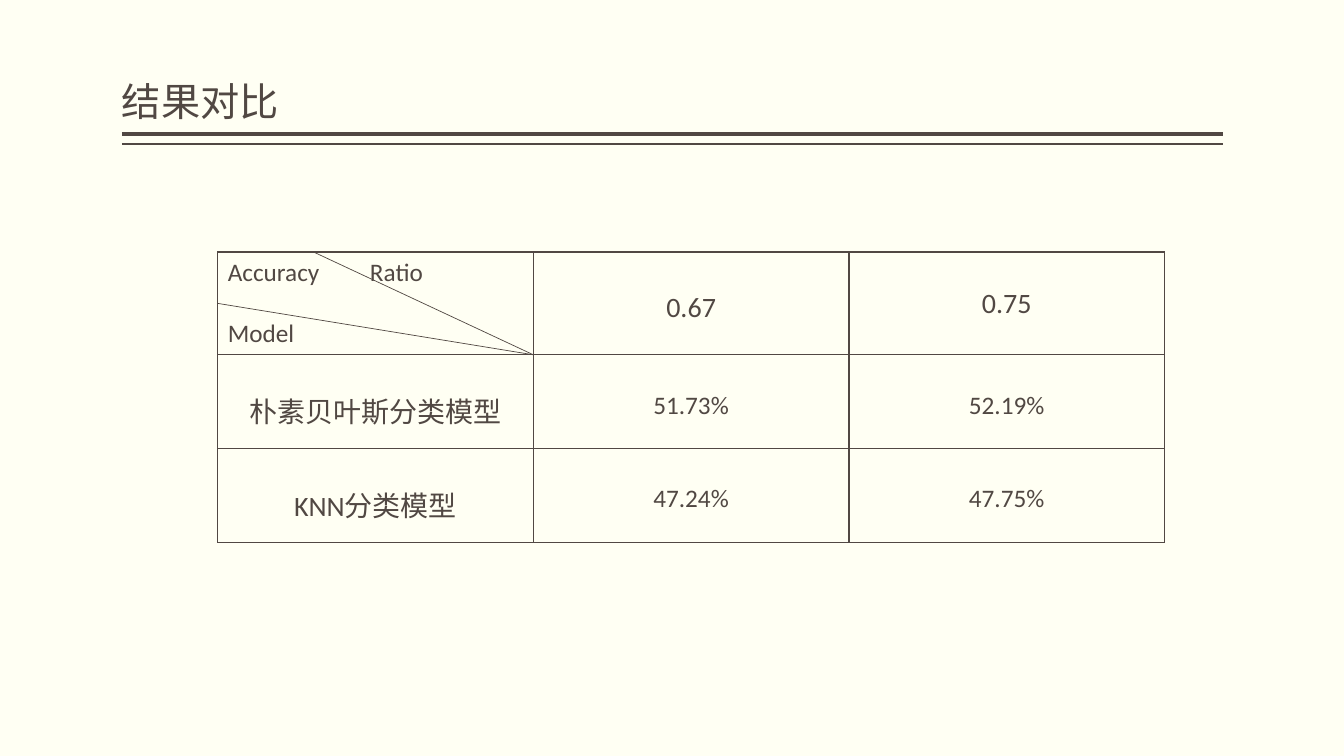
from pptx import Presentation
from pptx import util as u
from pptx.dml.color import RGBColor
from pptx.enum import shapes, text
from pptx.oxml.ns import qn
from lxml import etree

TITLE = "结果对比"
CORNER = ["Accuracy\tRatio", "Model"]
# Each cell: text, size in points, top margin in inches
ROWS = [
    [None, ("0.67", 20, 0.39), ("0.75", 20, 0.35)],
    [("朴素贝叶斯分类模型", 20, 0.35), ("51.73%", 18, 0.35), ("52.19%", 18, 0.35)],
    [("KNN分类模型", 20, 0.35), ("47.24%", 18, 0.35), ("47.75%", 18, 0.35)],
]
COLORS = {"ink": "514843", "paper": "FFFFF3"}
LATIN, CJK = "Calibri", "Noto Sans CJK SC"

# Grid in inches
LEFT, RIGHT = 1.21, 12.13
RULES = [(1.33, 3), (1.43, 1)]
TABLE_X, TABLE_Y, COL_W = 2.16, 2.5, 3.13
ROW_H = [1.02, 0.93, 0.93]

ink = RGBColor.from_string(COLORS["ink"])
prs = Presentation()
prs.slide_width, prs.slide_height = u.Inches(13.33), u.Inches(7.5)
s = prs.slides.add_slide(prs.slide_layouts[6])
s.background.fill.solid()
s.background.fill.fore_color.rgb = RGBColor.from_string(COLORS["paper"])


def add_line(x1, y1, x2, y2, width):
    c = s.shapes.add_connector(shapes.MSO_CONNECTOR.STRAIGHT,
                               *(u.Inches(v) for v in (x1, y1, x2, y2)))
    c.line.color.rgb = ink
    c.line.width = u.Pt(width)
    etree.SubElement(c._element.spPr, qn("a:effectLst"))


def style(p, size):
    for r in p.runs:
        r.font.size = u.Pt(size)
        r.font.name = LATIN
        r.font.color.rgb = ink
        etree.SubElement(r._r.get_or_add_rPr(), qn("a:ea"), typeface=CJK)


def add_borders(cell):
    tcPr = cell._tc.get_or_add_tcPr()
    for i, side in enumerate(("a:lnL", "a:lnR", "a:lnT", "a:lnB")):
        ln = etree.Element(qn(side), w=str(u.Pt(1)))
        fill = etree.SubElement(ln, qn("a:solidFill"))
        etree.SubElement(fill, qn("a:srgbClr"), val=COLORS["ink"])
        tcPr.insert(i, ln)


# Title and double rule
for y, width in RULES:
    add_line(LEFT, y, RIGHT, y, width)
sp = s.shapes.add_textbox(u.Inches(LEFT), u.Inches(0.08),
                          u.Inches(RIGHT - LEFT), u.Inches(1.2))
tf = sp.text_frame
tf.word_wrap = True
tf.vertical_anchor = text.MSO_ANCHOR.BOTTOM
tf.margin_left = tf.margin_right = 0
tf.text = TITLE
style(tf.paragraphs[0], 28)

# Results table
n_cols = len(ROWS[0])
frame = s.shapes.add_table(len(ROWS), n_cols, u.Inches(TABLE_X), u.Inches(TABLE_Y),
                           u.Inches(COL_W * n_cols), u.Inches(sum(ROW_H)))
table = frame.table
for col in table.columns:
    col.width = u.Inches(COL_W)
for i, (row, height) in enumerate(zip(ROWS, ROW_H)):
    table.rows[i].height = u.Inches(height)
    for j, content in enumerate(row):
        cell = table.cell(i, j)
        cell.fill.background()
        add_borders(cell)
        if content:
            label, size, top = content
            cell.margin_top = u.Inches(top)
            p = cell.text_frame.paragraphs[0]
            p.text = label
            p.alignment = text.PP_ALIGN.CENTER
            style(p, size)

# Corner cell: tab to the second heading, gap above the third
tf = table.cell(0, 0).text_frame
tf.text = "\n".join(CORNER)
for p in tf.paragraphs:
    style(p, 18)
head, model = tf.paragraphs
tabs = etree.SubElement(head._p.get_or_add_pPr(), qn("a:tabLst"))
etree.SubElement(tabs, qn("a:tab"), pos=str(u.Inches(1.41)), algn="l")
model.space_before = u.Pt(22)

# Diagonals meeting at the corner cell's lower right
corner_x, corner_y = TABLE_X + COL_W, TABLE_Y + ROW_H[0]
add_line(TABLE_X + 0.95, TABLE_Y, corner_x, corner_y, 0.5)
add_line(TABLE_X, TABLE_Y + ROW_H[0] / 2, corner_x, corner_y, 0.5)

prs.save("out.pptx")
